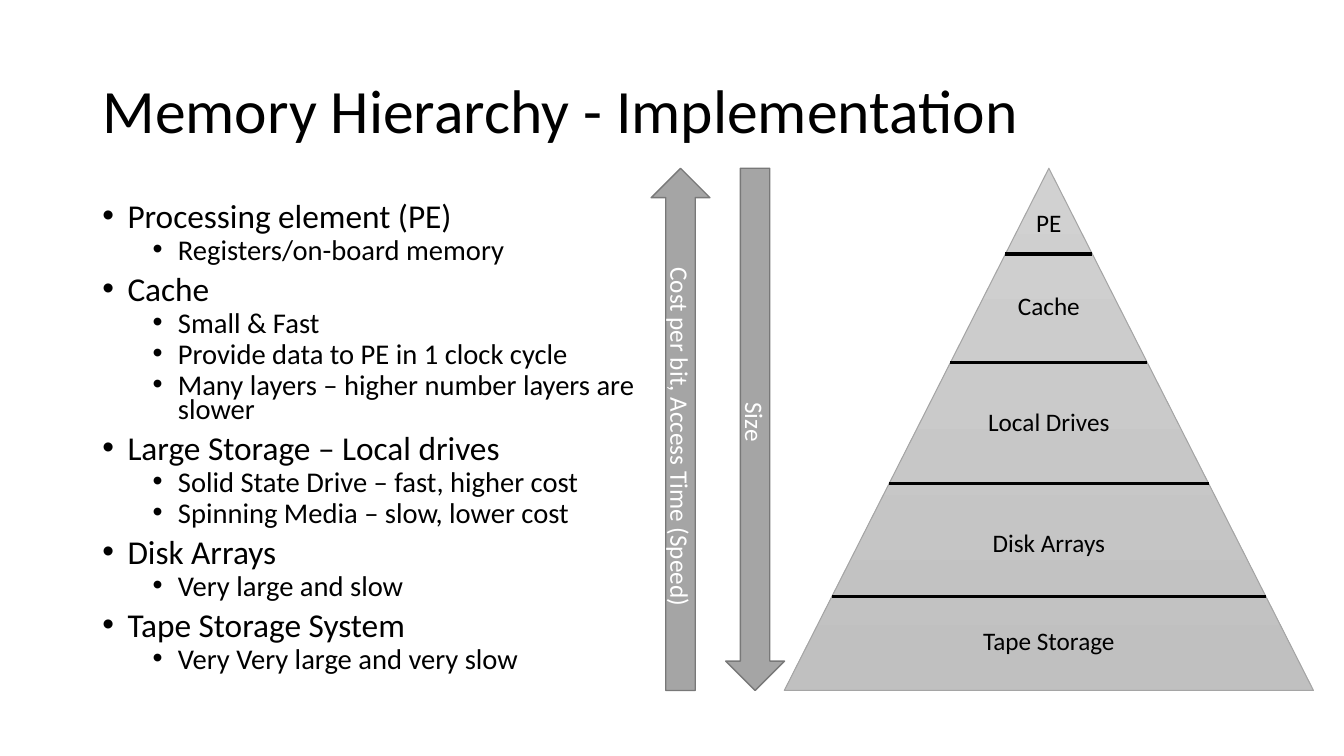
from lxml.etree import SubElement
from pptx import Presentation
from pptx.dml.color import RGBColor
from pptx.enum.shapes import MSO_CONNECTOR, MSO_SHAPE
from pptx.enum.text import MSO_ANCHOR, MSO_AUTO_SIZE, PP_ALIGN
from pptx.oxml.ns import qn
from pptx.util import Pt

BLACK = RGBColor(0x00, 0x00, 0x00)
WHITE = RGBColor(0xFF, 0xFF, 0xFF)
ARROW_GRAY = RGBColor(0xA5, 0xA5, 0xA5)
ARROW_EDGE = RGBColor(0x78, 0x78, 0x78)
PYRAMID_TOP = RGBColor(0xD1, 0xD1, 0xD1)
PYRAMID_BASE = RGBColor(0xC0, 0xC0, 0xC0)
FONT = "Calibri"

TOPICS = [
    ("Processing element (PE)", ["Registers/on-board memory"]),
    ("Cache", ["Small & Fast", "Provide data to PE in 1 clock cycle",
               "Many layers – higher number layers are slower"]),
    ("Large Storage – Local drives", ["Solid State Drive – fast, higher cost",
                                      "Spinning Media – slow, lower cost"]),
    ("Disk Arrays", ["Very large and slow"]),
    ("Tape Storage System", ["Very Very large and very slow"]),
]
# Each level: name, label top and label width, measured inside the pyramid box.
LEVELS = [("PE", 24.5, 32.4), ("Cache", 83.5, 59), ("Local Drives", 166.3, 102.2),
          ("Disk Arrays", 252.7, 95.8), ("Tape Storage", 322.6, 109.4)]
DIVIDERS = [61.2, 139, 225.4, 306]


def write(paragraph, text, size, color, align=PP_ALIGN.LEFT):
    """Fill a paragraph with evenly formatted text."""
    paragraph.text = text
    paragraph.alignment = align
    font = paragraph.font
    font.name, font.size, font.color.rgb = FONT, Pt(size), color


def add_title(slide, left, top, width, height):
    """Place and format the title placeholder."""
    title = slide.shapes.title
    title.left, title.top, title.width, title.height = map(Pt, (left, top, width, height))
    frame = title.text_frame
    frame.auto_size = MSO_AUTO_SIZE.NONE
    frame.vertical_anchor = MSO_ANCHOR.MIDDLE
    write(frame.paragraphs[0], "Memory Hierarchy - Implementation", 44, BLACK)
    frame.paragraphs[0].line_spacing = 0.9


def add_outline(slide, left, top, width, height):
    """List the topics with their details as two bullet levels."""
    frame = slide.shapes.add_textbox(*map(Pt, (left, top, width, height))).text_frame
    frame.word_wrap = True
    entries = [entry for topic, details in TOPICS
               for entry in [(topic, 0)] + [(detail, 1) for detail in details]]
    for index, (text, level) in enumerate(entries):
        paragraph = frame.add_paragraph() if index else frame.paragraphs[0]
        write(paragraph, text, 20.4 if level else 23.8, BLACK)
        paragraph.level = level
        paragraph.line_spacing = 0.7
        paragraph.space_before = Pt(0 if index == 0 else 5 if level else 10)
        properties = paragraph._p.get_or_add_pPr()
        properties.set("marL", str(Pt(54 if level else 18)))
        properties.set("indent", str(Pt(-18)))
        bullet_font = SubElement(properties, qn("a:buFont"), typeface="Arial")
        bullet_font.addnext(properties.makeelement(qn("a:buChar"), {"char": "•"}))
        properties.append(properties.find(qn("a:defRPr")))


def add_trend_arrow(slide, kind, text, left, top, width, height):
    """Draw a block arrow with its text running down the shaft."""
    arrow = slide.shapes.add_shape(kind, *map(Pt, (left, top, width, height)))
    arrow.shadow.inherit = False
    arrow.fill.solid()
    arrow.fill.fore_color.rgb = ARROW_GRAY
    arrow.line.color.rgb = ARROW_EDGE
    arrow.line.width = Pt(1)
    frame = arrow.text_frame
    frame.margin_left = frame.margin_right = frame.margin_top = frame.margin_bottom = 0
    frame.vertical_anchor = MSO_ANCHOR.MIDDLE
    frame._txBody.bodyPr.set("vert", "vert")
    write(frame.paragraphs[0], text, 18, WHITE, PP_ALIGN.CENTER)


def add_pyramid(slide, left, top, width, height):
    """Draw the storage pyramid with its dividers and level names."""
    pyramid = slide.shapes.add_shape(MSO_SHAPE.ISOSCELES_TRIANGLE,
                                     *map(Pt, (left, top, width, height)))
    pyramid.shadow.inherit = False
    pyramid.fill.gradient()
    pyramid.fill.gradient_angle = 270
    for stop, color, position in zip(pyramid.fill.gradient_stops,
                                     (PYRAMID_TOP, PYRAMID_BASE), (0, 1)):
        stop.color.rgb = color
        stop.position = position
    pyramid.line.color.rgb = ARROW_GRAY
    pyramid.line.width = Pt(0.75)
    center = left + width / 2
    for depth in DIVIDERS:
        reach = width / 2 * depth / height
        divider = slide.shapes.add_connector(
            MSO_CONNECTOR.STRAIGHT, Pt(center - reach), Pt(top + depth),
            Pt(center + reach), Pt(top + depth))
        divider.line.color.rgb = BLACK
        divider.line.width = Pt(2.25)
        SubElement(divider._element.spPr, qn("a:effectLst"))
    for name, depth, label_width in LEVELS:
        label = slide.shapes.add_textbox(Pt(center - label_width / 2), Pt(top + depth),
                                         Pt(label_width), Pt(29))
        label.text_frame.word_wrap = False
        write(label.text_frame.paragraphs[0], name, 18, BLACK, PP_ALIGN.CENTER)


def main():
    """Build the slide and save it."""
    deck = Presentation()
    deck.slide_width, deck.slide_height = Pt(960), Pt(540)
    slide = deck.slides.add_slide(deck.slide_layouts[5])
    add_title(slide, 66, 28.8, 828, 104.4)
    add_outline(slide, 66, 144, 408, 342.7)
    add_pyramid(slide, 560.2, 120.2, 378, 373)
    add_trend_arrow(slide, MSO_SHAPE.DOWN_ARROW, "Size", 518.4, 120.2, 42, 373)
    add_trend_arrow(slide, MSO_SHAPE.UP_ARROW, "Cost per bit, Access Time (Speed)",
                    465.1, 120.2, 42, 373)
    deck.save("out.pptx")


main()
